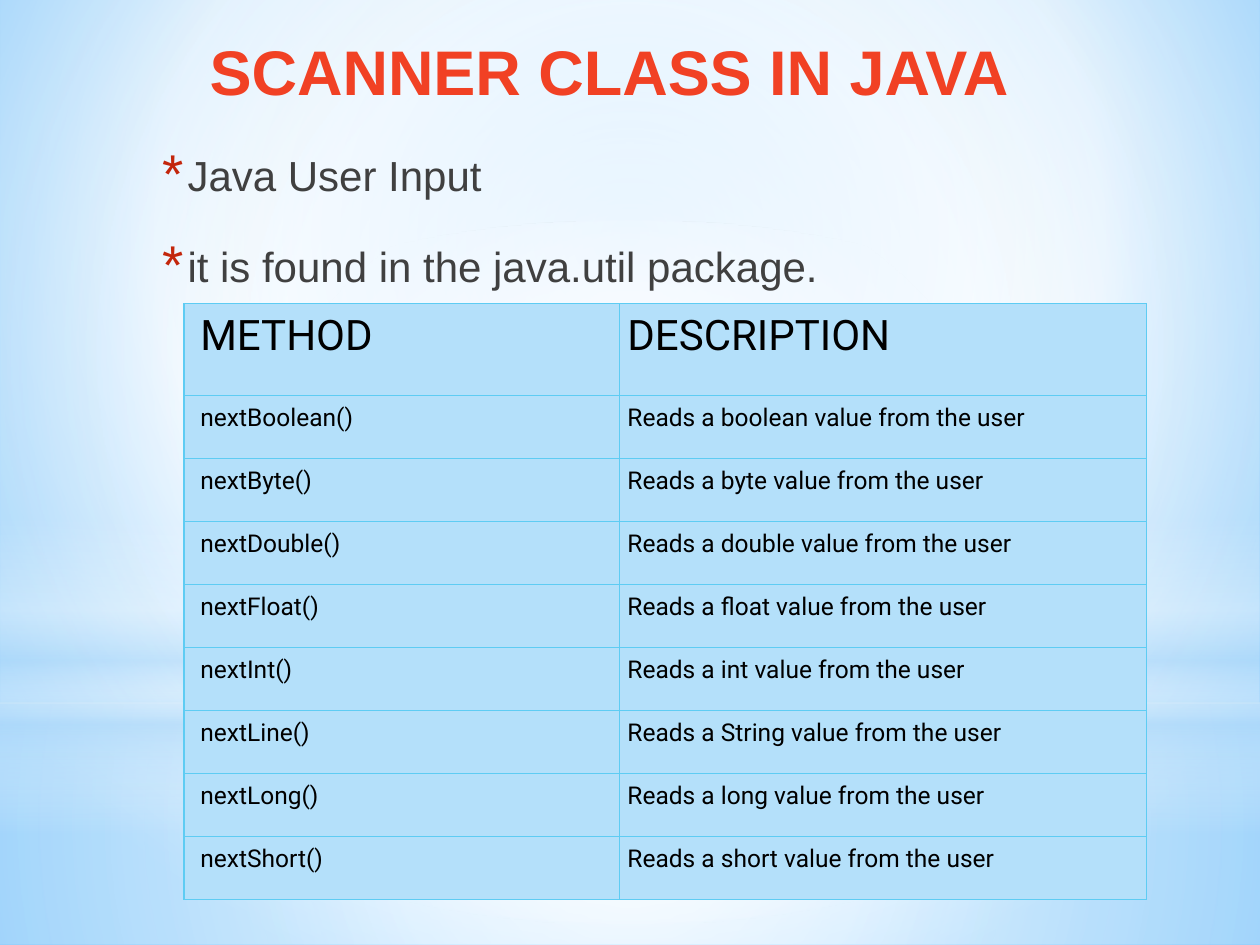
from lxml import etree
from pptx import Presentation
from pptx.dml.color import RGBColor
from pptx.enum.shapes import MSO_SHAPE
from pptx.enum.text import PP_ALIGN
from pptx.oxml import parse_xml
from pptx.oxml.ns import nsdecls, qn
from pptx.util import Inches, Pt

RECT, OVAL = MSO_SHAPE.RECTANGLE, MSO_SHAPE.OVAL
CENTER, JUSTIFY = PP_ALIGN.CENTER, PP_ALIGN.JUSTIFY
WHITE = RGBColor(0xFF, 0xFF, 0xFF)
PALE = RGBColor(0xB4, 0xDC, 0xFA)
SKY = RGBColor(0x9E, 0xD5, 0xFF)
BLUE = RGBColor(0x5B, 0xB9, 0xFF)
CELL = RGBColor(0xB4, 0xE0, 0xFA)
EDGE = RGBColor(0x5E, 0xCC, 0xF3)
RED = RGBColor(0xF1, 0x41, 0x24)
STAR = RGBColor(0xC3, 0x26, 0x0C)
GRAY = RGBColor(0x40, 0x40, 0x40)
BLACK = RGBColor(0, 0, 0)

MID = (50, 50, 50, 50)
GLOWS = [
    (RECT, (0, 5.58, 10, 1.92), [(0, WHITE, 91), (37, WHITE, 76), (100, PALE, 79)], MID),
    (RECT, (0, 0, 10, 5.58), [(0, WHITE, 89), (48, WHITE, 62), (100, PALE, 79)], MID),
    (RECT, (0, 4.12, 10, 2.5), [(0, WHITE, 0), (29, WHITE, 30), (45, PALE, 40),
                                (55, WHITE, 26), (65, PALE, 60), (100, WHITE, 0)], None),
    (OVAL, (0, 1.75, 10, 5.58), [(0, WHITE, 100), (56, WHITE, 0)], MID),
]
TITLE = {"size": Pt(36), "bold": True, "name": "Arial", "color": RED}
BODY = {"size": Pt(24), "bold": False, "name": "Arial", "color": GRAY}
HEAD = {"size": Pt(24), "name": "Roboto", "color": BLACK}
ITEM = {**HEAD, "size": Pt(14)}
TYPES = ["boolean", "byte", "double", "float", "int", "String", "long", "short"]
NAMES = {"String": "Line"}


class Deck:
    """Holds the style and the current slide."""

    def __init__(self):
        self.prs = Presentation()
        self.prs.slide_width, self.prs.slide_height = Inches(10), Inches(7.5)
        self.slide = self.prs.slides.add_slide(self.prs.slide_layouts[6])

    def font(self, run, form):
        for key, val in form.items():
            if key == "color":
                run.font.color.rgb = val
            else:
                setattr(run.font, key, val)

    def blend(self, owner, stops, focus):
        marks = "".join(
            f'<a:gs pos="{pos * 1000}"><a:srgbClr val="{color}">'
            f'<a:alpha val="{alpha * 1000}"/></a:srgbClr></a:gs>'
            for pos, color, alpha in stops)
        if focus:
            sides = " ".join(f'{side}="{val * 1000}"' for side, val in zip("ltrb", focus))
            way = f'<a:path path="circle"><a:fillToRect {sides}/></a:path>'
        else:
            way = '<a:lin ang="5400000" scaled="0"/>'
        solid = owner.find(".//" + qn("a:solidFill"))
        solid.getparent().replace(solid, parse_xml(
            f'<a:gradFill {nsdecls("a")} rotWithShape="1"><a:gsLst>{marks}</a:gsLst>{way}</a:gradFill>'))

    def back(self, stops, focus):
        self.slide.background.fill.solid()
        self.slide.background.fill.fore_color.rgb = WHITE
        self.blend(self.slide.element.find(".//" + qn("p:bgPr")), stops, focus)

    def glow(self, kind, box, stops, focus):
        shape = self.slide.shapes.add_shape(kind, *map(Inches, box))
        shape.shadow.inherit = False
        shape.line.fill.background()
        shape.fill.solid()
        shape.fill.fore_color.rgb = WHITE
        self.blend(shape.element.spPr, stops, focus)

    def bullet(self, para):
        props = para._p.get_or_add_pPr()
        props.set("marL", str(Inches(0.25)))
        props.set("indent", str(Inches(-0.2)))
        color = etree.SubElement(props, qn("a:buClr"))
        etree.SubElement(color, qn("a:srgbClr"), val=str(STAR))
        etree.SubElement(props, qn("a:buSzPct"), val="130000")
        etree.SubElement(props, qn("a:buFont"), typeface="Arial")
        etree.SubElement(props, qn("a:buChar"), char="*")

    def text(self, box, title, points):
        frame = self.slide.shapes.add_textbox(*map(Inches, box)).text_frame
        frame.word_wrap = True
        for i, words in enumerate([title, *points]):
            para = frame.add_paragraph() if i else frame.paragraphs[0]
            form = {"alignment": JUSTIFY if i else CENTER, "line_spacing": 1.5 if i else 1.0,
                    "space_before": Pt(6 if i else 4), "space_after": Pt(3)}
            for key, val in form.items():
                setattr(para, key, val)
            run = para.add_run()
            run.text = words
            self.font(run, BODY if i else TITLE)
            if i:
                self.bullet(para)
            else:
                para._p.get_or_add_pPr().set("marL", str(Inches(0.05)))

    def edges(self, cell):
        props = cell._tc.get_or_add_tcPr()
        for i, side in enumerate("LRTB"):
            props.insert(i, parse_xml(
                f'<a:ln{side} {nsdecls("a")} w="{Pt(0.75)}"><a:solidFill>'
                f'<a:srgbClr val="{EDGE}"/></a:solidFill></a:ln{side}>'))

    def table(self, box, cols, tops, rows):
        grid = self.slide.shapes.add_table(len(rows), len(cols), *map(Inches, box)).table
        grid.first_row = grid.horz_banding = False
        for col, width in zip(grid.columns, cols):
            col.width = Inches(width)
        for r, words in enumerate(rows):
            grid.rows[r].height = Inches(tops[min(r, 1)])
            for c, word in enumerate(words):
                cell = grid.cell(r, c)
                form = {"margin_left": 0.06 if c else 0.13, "margin_right": 0.06,
                        "margin_top": 0.06, "margin_bottom": 0.06}
                for key, val in form.items():
                    setattr(cell, key, Inches(val))
                cell.fill.solid()
                cell.fill.fore_color.rgb = CELL
                self.edges(cell)
                run = cell.text_frame.paragraphs[0].add_run()
                run.text = word
                self.font(run, ITEM if r else HEAD)


def main():
    deck = Deck()
    deck.back([(0, SKY, 100), (60, WHITE, 100), (100, BLUE, 100)], (20, 10, 20, 60))
    for glow in GLOWS:
        deck.glow(*glow)
    deck.text((1.14, 0.21, 7.34, 3.84), "SCANNER CLASS IN JAVA",
              ["Java User Input", "it is found in the java.util package."])
    rows = [("METHOD", "DESCRIPTION")]
    rows += [(f"next{NAMES.get(kind, kind.title())}()", f"Reads a {kind} value from the user")
             for kind in TYPES]
    deck.table((1.46, 2.41, 7.64, 4.73), (3.46, 4.18), (0.73, 0.5), rows)
    deck.prs.save("out.pptx")


if __name__ == "__main__":
    main()
